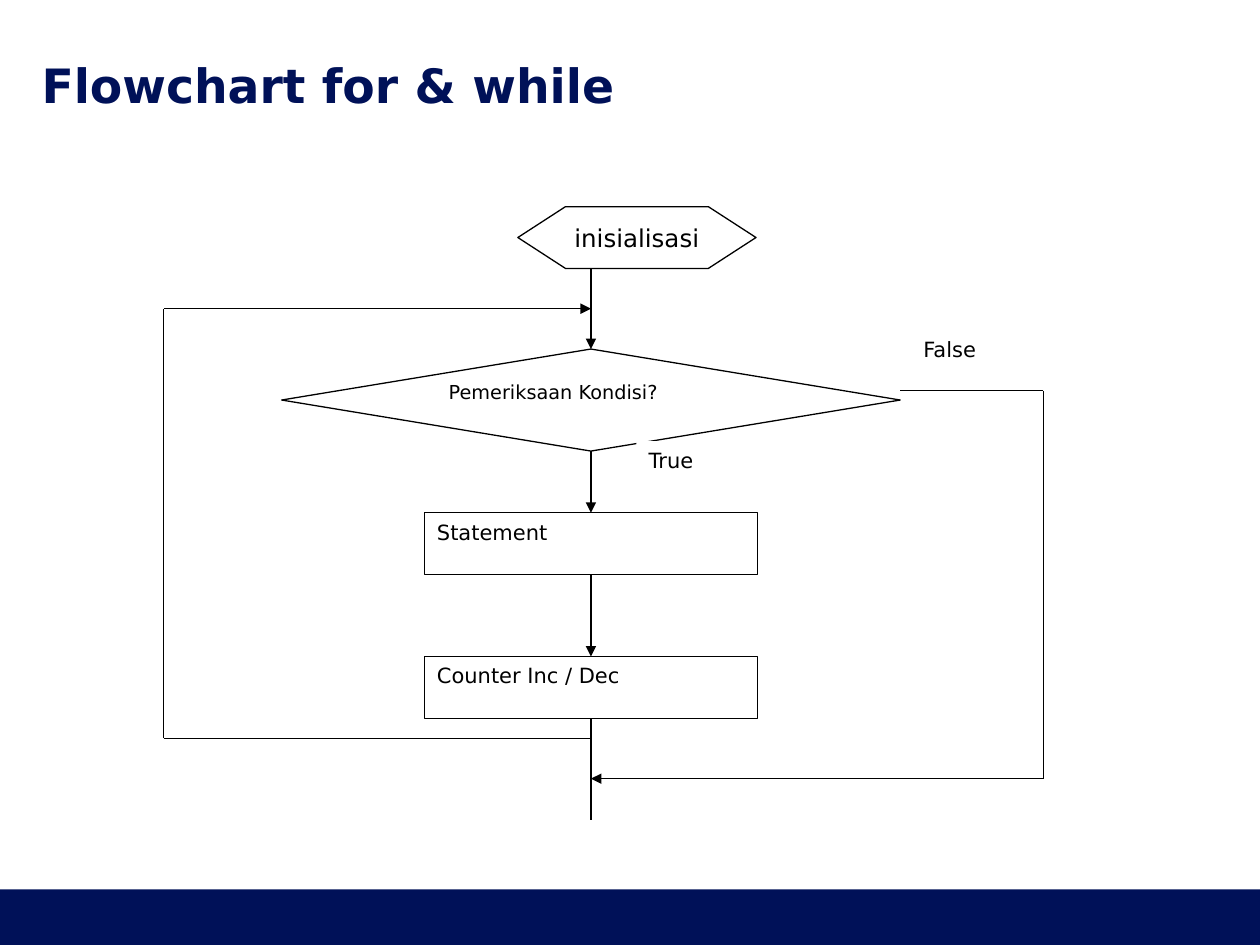
import pptx
import pptx.dml.color
import pptx.enum.shapes
import pptx.enum.text
import pptx.oxml
import pptx.oxml.ns
import pptx.util

Inches = pptx.util.Inches
SHAPE = pptx.enum.shapes.MSO_SHAPE
ANCHOR = pptx.enum.text.MSO_ANCHOR
ALIGN = pptx.enum.text.PP_ALIGN

COLORS = {"navy": "001158", "ink": "000000", "paper": "FFFFFF"}
FONT = "DejaVu Sans"
LINE_WIDTH = pptx.util.Pt(0.75)


def color(name):
    """Return the named palette colour."""
    return pptx.dml.color.RGBColor.from_string(COLORS[name])


def write(shape, text, size, color_name="ink", bold=False, align=ALIGN.LEFT):
    """Set and format one paragraph of text in a shape."""
    shape.text_frame.text = text
    paragraph = shape.text_frame.paragraphs[0]
    paragraph.alignment = align
    font = paragraph.runs[0].font
    font.name, font.size, font.bold = FONT, pptx.util.Pt(size), bold
    font.color.rgb = color(color_name)


def add_box(slide, kind, left, top, width, height, fill="paper", outlined=True):
    """Add a flat preset shape with an optional thin outline."""
    shape = slide.shapes.add_shape(
        kind, Inches(left), Inches(top), Inches(width), Inches(height))
    shape.shadow.inherit = False
    if fill:
        shape.fill.solid()
        shape.fill.fore_color.rgb = color(fill)
    else:
        shape.fill.background()
    if outlined:
        shape.line.color.rgb = color("ink")
        shape.line.width = LINE_WIDTH
    else:
        shape.line.fill.background()
    shape.text_frame.vertical_anchor = ANCHOR.TOP
    return shape


def add_line(slide, start, end, arrow=False):
    """Add a thin straight line, with an arrowhead at its end if asked."""
    points = [Inches(value) for value in (*start, *end)]
    connector = slide.shapes.add_connector(
        pptx.enum.shapes.MSO_CONNECTOR.STRAIGHT, *points)
    connector.line.color.rgb = color("ink")
    connector.line.width = LINE_WIDTH
    namespace = pptx.oxml.ns.nsdecls("a")
    if arrow:
        connector.line._get_or_add_ln().append(
            pptx.oxml.parse_xml(f'<a:tailEnd {namespace} type="triangle"/>'))
    connector._element.spPr.append(
        pptx.oxml.parse_xml(f"<a:effectLst {namespace}/>"))


def add_title(slide, left, top, width, height):
    """Place and format the slide title."""
    title = slide.shapes.title
    title.left, title.top = Inches(left), Inches(top)
    title.width, title.height = Inches(width), Inches(height)
    frame = title.text_frame
    frame.margin_left = frame.margin_right = 0
    frame.margin_top = frame.margin_bottom = 0
    frame.vertical_anchor = ANCHOR.MIDDLE
    frame.word_wrap = True
    write(title, "Flowchart for & while", 27, "navy", bold=True)


def add_flowchart(slide, left, top, width, height):
    """Draw the loop flowchart inside the given box."""
    right, bottom = left + width, top + height
    axis = left + 3.39
    process_width, step_height = 2.64, 0.49
    condition_width, condition_height = 4.91, 0.81
    condition_top, statement_top, counter_top = top + 1.13, top + 2.43, top + 3.57
    condition_right = axis + condition_width / 2
    condition_bottom = condition_top + condition_height
    start_bottom = top + step_height
    statement_bottom = statement_top + step_height
    counter_bottom = counter_top + step_height
    loop_top, loop_bottom = top + 0.81, top + 4.22
    exit_top, exit_bottom = top + 1.46, top + 4.54

    condition = add_box(slide, SHAPE.DIAMOND, axis - condition_width / 2,
                        condition_top, condition_width, condition_height)
    write(condition, "Pemeriksaan Kondisi?", 11)
    for text, step_top in (("Statement", statement_top),
                           ("Counter Inc / Dec", counter_top)):
        step = add_box(slide, SHAPE.RECTANGLE, axis - process_width / 2,
                       step_top, process_width, step_height)
        write(step, text, 12)

    for line_start, line_end, arrow in (
            (condition_bottom, statement_top, True),
            (statement_bottom, counter_top, True),
            (counter_bottom, top + 4.71, False),
            (start_bottom, loop_top, False),
            (loop_bottom, bottom, False),
            (top + 0.65, condition_top, True)):
        add_line(slide, (axis, line_start), (axis, line_end), arrow)

    loop_route = [(axis, loop_bottom), (left, loop_bottom),
                  (left, loop_top), (axis, loop_top)]
    exit_route = [(condition_right, exit_top), (right, exit_top),
                  (right, exit_bottom), (axis, exit_bottom)]
    for route in (loop_route, exit_route):
        for start, end in zip(route, route[1:]):
            add_line(slide, start, end, arrow=end == route[-1])

    for text, label_left, label_top in (("True", 3.75, 1.86), ("False", 5.93, 0.98)):
        label = add_box(slide, SHAPE.RECTANGLE, left + label_left,
                        top + label_top, 0.71, 0.29, outlined=False)
        write(label, text, 12)

    preparation = add_box(slide, SHAPE.FLOWCHART_PREPARATION, left + 2.81, top,
                          1.89, step_height, fill=None)
    preparation.text_frame.word_wrap = False
    preparation.text_frame.vertical_anchor = ANCHOR.MIDDLE
    write(preparation, "inisialisasi", 14, align=ALIGN.CENTER)


def main():
    """Build and save the slide."""
    presentation = pptx.Presentation()
    presentation.slide_width = Inches(10)
    presentation.slide_height = Inches(7.5)
    slide = presentation.slides.add_slide(presentation.slide_layouts[5])
    add_box(slide, SHAPE.RECTANGLE, 0, 7.06, 10, 0.44, "navy", outlined=False)
    add_title(slide, 0.33, 0.44, 9.34, 0.47)
    add_flowchart(slide, 1.3, 1.64, 6.98, 4.87)
    presentation.save("out.pptx")


if __name__ == "__main__":
    main()
